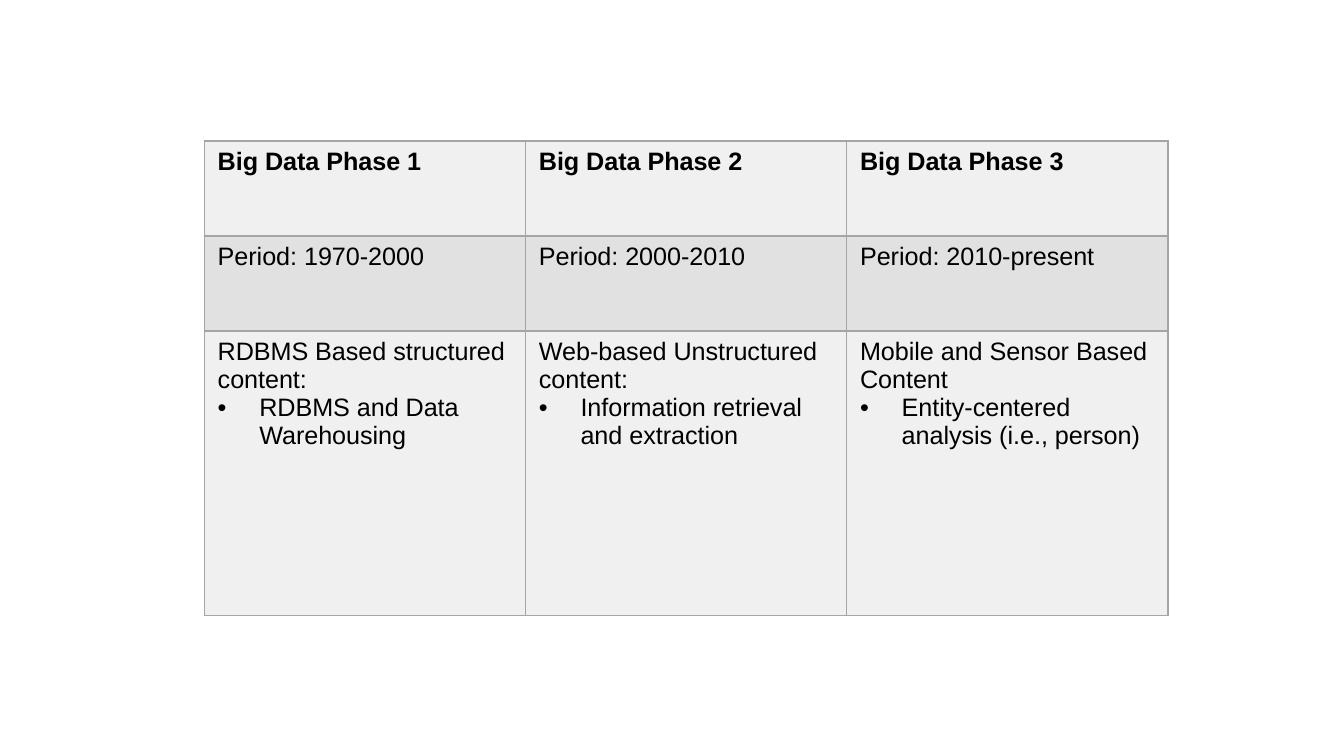
from lxml.etree import SubElement
from pptx import Presentation
from pptx.dml.color import RGBColor
from pptx.oxml.ns import qn
from pptx.util import Inches, Pt

COLORS = {"text": "000000", "border": "A5A5A5", "light": "F0F0F0", "dark": "E1E1E1"}
SLIDE_WIDTH = 10
SLIDE_HEIGHT = SLIDE_WIDTH * 9 / 16

PHASES = [
    ("Big Data Phase 1", "Period: 1970-2000",
     "RDBMS Based structured content:", "RDBMS and Data Warehousing"),
    ("Big Data Phase 2", "Period: 2000-2010",
     "Web-based Unstructured content:", "Information retrieval and extraction"),
    ("Big Data Phase 3", "Period: 2010-present",
     "Mobile and Sensor Based Content", "Entity-centered analysis (i.e., person)"),
]


def write(paragraph, text, bold=False, bullet=False, size=13.5, color="text", font="Arial"):
    if bullet:
        properties = paragraph._p.get_or_add_pPr()
        indent = Inches(0.31)
        properties.set("marL", str(indent))
        properties.set("indent", str(-indent))
        SubElement(properties, qn("a:buFont"), typeface=font)
        SubElement(properties, qn("a:buChar"), char="•")
    run = paragraph.add_run()
    run.text = text
    run.font.name = font
    run.font.size = Pt(size)
    run.font.bold = bold
    run.font.color.rgb = RGBColor.from_string(COLORS[color])


class Deck:
    """Holds the table style and the current slide."""

    border_width = 1

    def __init__(self):
        self.presentation = Presentation()
        self.presentation.slide_width = Inches(SLIDE_WIDTH)
        self.presentation.slide_height = Inches(SLIDE_HEIGHT)
        self.slide = self.presentation.slides.add_slide(self.presentation.slide_layouts[6])

    def table(self, left, top, width, height, row_spans, columns):
        """Row spans share out the height; each column lists cells, each cell its lines."""
        frame = self.slide.shapes.add_table(
            len(row_spans), len(columns),
            Inches(left), Inches(top), Inches(width), Inches(height))
        grid = frame.table
        grid.first_row = grid.horz_banding = False
        for row, span in zip(grid.rows, row_spans):
            row.height = Inches(height * span / sum(row_spans))
        for x, contents in enumerate(columns):
            grid.columns[x].width = Inches(width / len(columns))
            for y, lines in enumerate(contents):
                self.cell(grid.cell(y, x), lines, "dark" if y % 2 else "light")

    def cell(self, cell, lines, fill):
        self.borders(cell)
        cell.fill.solid()
        cell.fill.fore_color.rgb = RGBColor.from_string(COLORS[fill])
        frame = cell.text_frame
        for number, line in enumerate(lines):
            write(frame.add_paragraph() if number else frame.paragraphs[0], **line)

    def borders(self, cell):
        properties = cell._tc.get_or_add_tcPr()
        for side in ("lnL", "lnR", "lnT", "lnB"):
            line = SubElement(properties, qn(f"a:{side}"), w=str(Pt(self.border_width)))
            solid = SubElement(line, qn("a:solidFill"))
            SubElement(solid, qn("a:srgbClr"), val=COLORS["border"])


def main():
    deck = Deck()
    columns = [
        [
            [{"text": title, "bold": True}],
            [{"text": period}],
            [{"text": content}, {"text": example, "bullet": True}],
        ]
        for title, period, content, example in PHASES
    ]
    deck.table(1.52, 1.05, 7.17, 3.53, [1, 1, 3], columns)
    deck.presentation.save("out.pptx")


if __name__ == "__main__":
    main()
